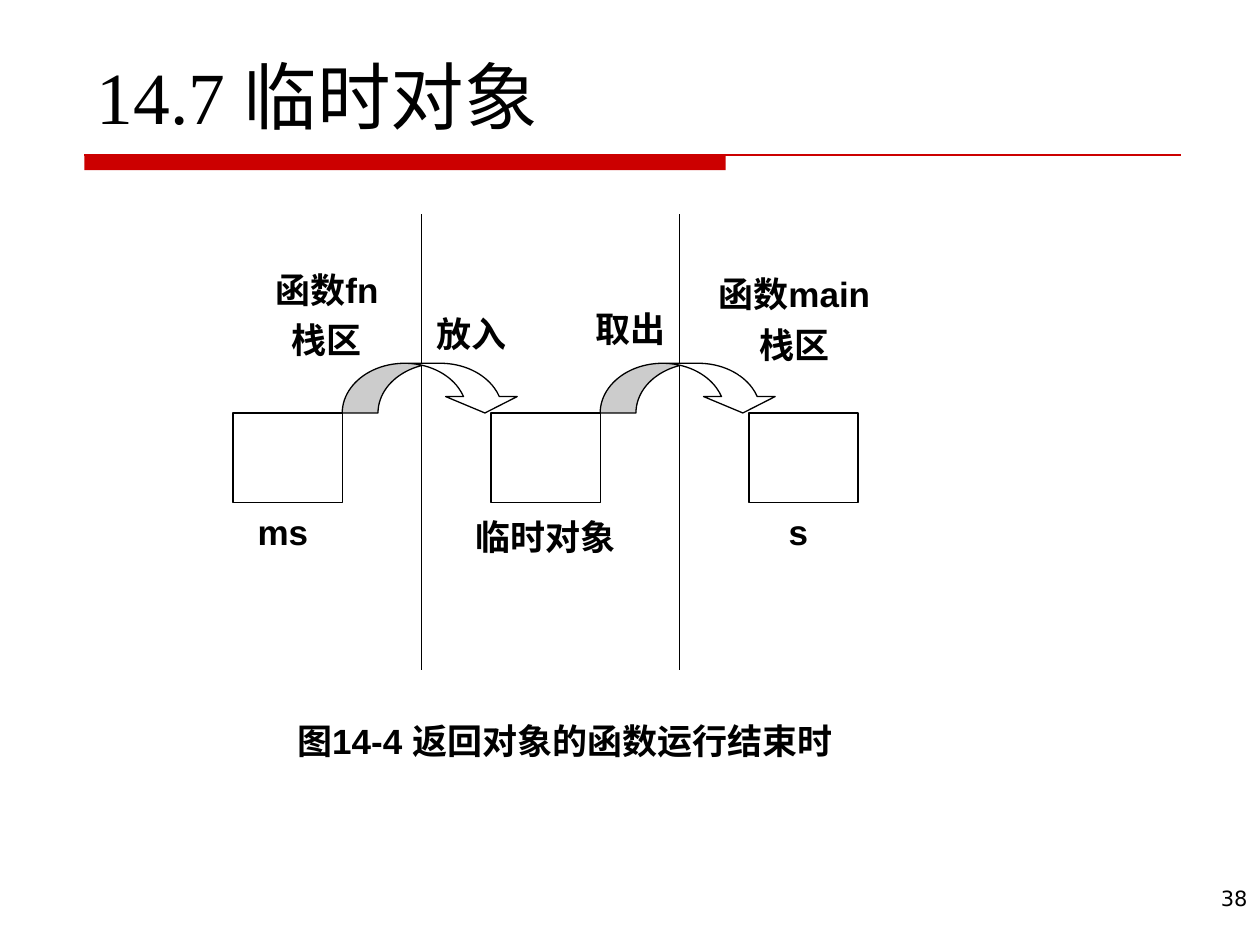
from lxml import etree
from pptx import Presentation
from pptx import util as u
from pptx.dml.color import RGBColor
from pptx.enum import shapes, text
from pptx.oxml import ns

Pt = u.Pt
BLACK = RGBColor(0, 0, 0)
WHITE = RGBColor(255, 255, 255)
RED = RGBColor(204, 0, 0)
KIND = shapes.MSO_SHAPE
ALIGN = text.PP_ALIGN
ANCHOR = text.MSO_ANCHOR

STEP = 147.4
BOX = (133.2, 236, 62.4, 51.2)
ARROW = (195.6, 207.6, 102, 28.4)
WALL = (241, 122.5, 383)
LABELS = [
    (["ms"], 144.7, 292.3, 34, 23),
    (["函数main", "栈区"], 422.6, 151.2, 62.6, 62.6),
    (["函数fn", "栈区"], 161.3, 157, 51, 45.4),
    (["取出"], 337.7, 173.5, 45.4, 28),
    (["放入"], 247, 179.3, 45.4, 23),
    (["临时对象"], 280.8, 292.3, 62, 28),
    (["s"], 439.2, 292.3, 34, 23),
    (["图14-4 返回对象的函数运行结束时"], 167, 406, 311.8, 34),
]


def style(item, form):
    for name, value in form.items():
        setattr(item, name, value)


def shape(page, kind, spot, fill, edge):
    item = page.shapes.add_shape(kind, *map(Pt, spot))
    item.shadow.inherit = False
    item.fill.solid()
    item.fill.fore_color.rgb = fill
    item.line.color.rgb = edge
    item.line.width = Pt(0.75)
    return item


def rule(page, ends, color):
    item = page.shapes.add_connector(
        shapes.MSO_CONNECTOR.STRAIGHT, *map(Pt, ends))
    item.line.color.rgb = color
    item.line.width = Pt(0.75)
    etree.SubElement(item.element.spPr, ns.qn("a:effectLst"))


def write(item, lines, face, size, align, anchor, wrap=True, bold=False):
    frame = item.text_frame
    style(frame, {"word_wrap": wrap, "vertical_anchor": anchor})
    for row, line in enumerate(lines):
        para = frame.add_paragraph() if row else frame.paragraphs[0]
        para.alignment = align
        if row:
            para.space_before = Pt(5)
        run = para.add_run()
        run.text = line
        style(run.font, {"name": face, "size": Pt(size), "bold": bold})
        run.font.color.rgb = BLACK


def label(page, lines, *spot):
    item = shape(page, KIND.RECTANGLE, spot, WHITE, WHITE)
    write(item, lines, "Arial", 20, ALIGN.CENTER, ANCHOR.MIDDLE, False, True)


def arrow(page, spot):
    item = shape(page, KIND.CURVED_DOWN_ARROW, spot, WHITE, BLACK)
    for index, ratio in enumerate((0.72, 1.44, 0.33)):
        item.adjustments[index] = ratio


def frame(page):
    shape(page, KIND.RECTANGLE, (48.2, 88.6, 366.5, 8.6), RED, RED).line.fill.background()
    rule(page, (48.2, 88.6, 674.6, 88.6), RED)
    title = page.shapes.add_textbox(*map(Pt, (48.2, 36, 580.3, 46.8)))
    write(title, ["14.7 临时对象"], "Times New Roman", 42, ALIGN.LEFT, ANCHOR.BOTTOM)
    number = page.shapes.add_textbox(*map(Pt, (566, 502.6, 154, 37.4)))
    write(number, ["38"], "DejaVu Sans", 12, ALIGN.RIGHT, ANCHOR.TOP)


def stacks(page):
    for col in range(3):
        left, *rest = BOX
        shape(page, KIND.RECTANGLE, (left + col * STEP, *rest), WHITE, BLACK)
    for col in range(2):
        left, top, end = WALL
        rule(page, (left + col * STEP, top, left + col * STEP, end), BLACK)
        left, *rest = ARROW
        arrow(page, (left + col * STEP, *rest))
    for item in LABELS:
        label(page, *item)


def main():
    deck = Presentation()
    style(deck, {"slide_width": Pt(720), "slide_height": Pt(540)})
    page = deck.slides.add_slide(deck.slide_layouts[6])
    frame(page)
    stacks(page)
    deck.save("out.pptx")


if __name__ == "__main__":
    main()
